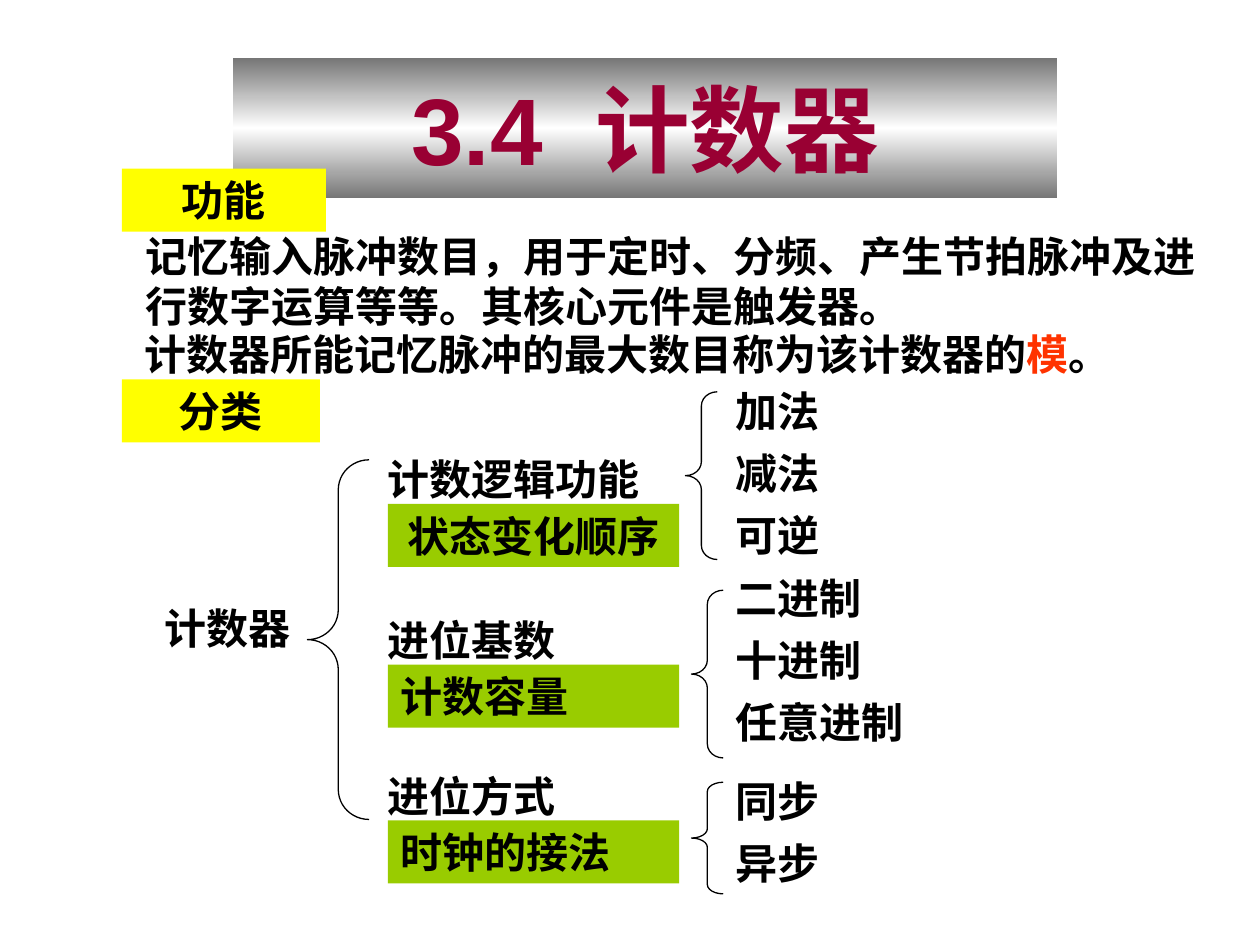
from copy import deepcopy
from dataclasses import dataclass

from pptx import Presentation
from pptx.dml.color import RGBColor as Color
from pptx.enum.shapes import MSO_SHAPE as Shape
from pptx.enum.text import MSO_ANCHOR as Anchor, PP_ALIGN as Align
from pptx.oxml.ns import qn
from pptx.util import Cm, Pt


@dataclass(frozen=True)
class Theme:
    font: str = "Arial"
    body: int = 24
    title: int = 54
    rule: float = 0.75
    ink: str = "000000"
    title_ink: str = "990033"
    accent: str = "FF3300"
    heading: str = "FFFF00"
    criterion: str = "99CC00"
    banner: tuple = ((0, "767676"), (0.5, "FFFFFF"), (1, "767676"))


THEME = Theme()
LINE_HEIGHT = 1.27


@dataclass(frozen=True)
class Area:
    left: float
    top: float
    width: float
    height: float = LINE_HEIGHT

    def lengths(self) -> tuple:
        return Cm(self.left), Cm(self.top), Cm(self.width), Cm(self.height)


@dataclass(frozen=True)
class Span:
    text: str
    color: str = THEME.ink
    size: int = THEME.body
    spacing: int = 0  # extra character spacing in points


@dataclass(frozen=True)
class Criterion:
    name: str
    name_area: Area
    label: str
    align: Align
    brace: Area
    options: tuple
    options_top: float


def write(box, spans: list[Span], align: Align) -> None:
    frame = box.text_frame
    frame.word_wrap = True
    frame.vertical_anchor = Anchor.MIDDLE
    para = frame.paragraphs[0]
    para.alignment = align
    for span in spans:
        run = para.add_run()
        run.text = span.text
        formats = {"name": THEME.font, "size": Pt(span.size), "bold": True}
        for name, value in formats.items():
            setattr(run.font, name, value)
        run.font.color.rgb = Color.from_string(span.color)
        if span.spacing:
            run.font._element.set("spc", str(span.spacing * 100))


def add_text(page, area: Area, *spans: Span) -> None:
    write(page.shapes.add_textbox(*area.lengths()), list(spans), Align.LEFT)


def add_panel(page, area: Area, spans: list[Span], align: Align = Align.CENTER):
    panel = page.shapes.add_shape(Shape.RECTANGLE, *area.lengths())
    panel.shadow.inherit = False
    panel.line.fill.background()
    write(panel, spans, align)
    return panel


def add_label(page, area: Area, text: str, color: str, align: Align = Align.CENTER) -> None:
    label = add_panel(page, area, [Span(text)], align)
    label.fill.solid()
    label.fill.fore_color.rgb = Color.from_string(color)


def add_banner(page, area: Area, spans: list[Span]) -> None:
    banner = add_panel(page, area, spans)
    banner.fill.gradient()
    banner.fill.gradient_angle = 90
    stop_list = banner._element.spPr.find(".//" + qn("a:gsLst"))
    stop_list.append(deepcopy(stop_list[0]))
    for stop, (position, color) in zip(banner.fill.gradient_stops, THEME.banner):
        stop.position = position
        stop.color.rgb = Color.from_string(color)


def add_brace(page, area: Area) -> None:
    brace = page.shapes.add_shape(Shape.LEFT_BRACE, *area.lengths())
    brace.shadow.inherit = False
    brace.fill.background()
    brace.line.color.rgb = Color.from_string(THEME.ink)
    brace.line.width = Pt(THEME.rule)
    # Each curve takes a twelfth of the height
    brace.adjustments[0] = area.height / 12 / area.width


def add_criterion(page, item: Criterion) -> None:
    add_text(page, item.name_area, Span(item.name))
    label_area = Area(7.82, item.name_area.top + 1.14, 5.87)
    add_label(page, label_area, item.label, THEME.criterion, item.align)
    add_brace(page, item.brace)
    for row, option in enumerate(item.options):
        add_text(page, Area(14.58, item.options_top + row * 1.25, 4.75), Span(option))


CRITERIA = (
    Criterion("计数逻辑功能", Area(7.57, 9.02, 6.12), "状态变化顺序", Align.CENTER,
              Area(13.82, 7.9, 0.64, 3.38), ("加法", "减法", "可逆"), 7.65),
    Criterion("进位基数", Area(7.57, 12.26, 4.75), "计数容量", Align.LEFT,
              Area(13.94, 11.9, 0.64, 3.38), ("二进制", "十进制", "任意进制"), 11.41),
    Criterion("进位方式", Area(7.57, 15.4, 4.75), "时钟的接法", Align.LEFT,
              Area(13.94, 15.77, 0.64, 2.25), ("同步", "异步"), 15.5),
)


def main() -> None:
    deck = Presentation()
    deck.slide_width, deck.slide_height = Cm(25.4), Cm(19.05)
    page = deck.slides.add_slide(deck.slide_layouts[6])

    # Title
    title = {"color": THEME.title_ink, "size": THEME.title}
    add_banner(page, Area(4.7, 1.17, 16.61, 2.82),
               [Span("3.4", **title), Span(" ", spacing=15, **title), Span("计数器", **title)])

    # Function
    add_label(page, Area(2.46, 3.4, 4.11), "功能", THEME.heading)
    add_text(page, Area(2.69, 4.52, 22, 2.29),
             Span("记忆输入脉冲数目，用于定时、分频、产生节拍脉冲及进行数字运算等等。其核心元件是触发器。"))
    add_text(page, Area(2.67, 6.5, 22),
             Span("计数器所能记忆脉冲的最大数目称为该计数器的"),
             Span("模", THEME.accent), Span("。"))

    # Classification tree
    add_label(page, Area(2.46, 7.65, 3.99), "分类", THEME.heading)
    add_text(page, Area(3.07, 12.01, 4.24), Span("计数器"))
    add_brace(page, Area(6.2, 9.27, 1.24, 7.25))
    for item in CRITERIA:
        add_criterion(page, item)

    deck.save("out.pptx")


if __name__ == "__main__":
    main()
